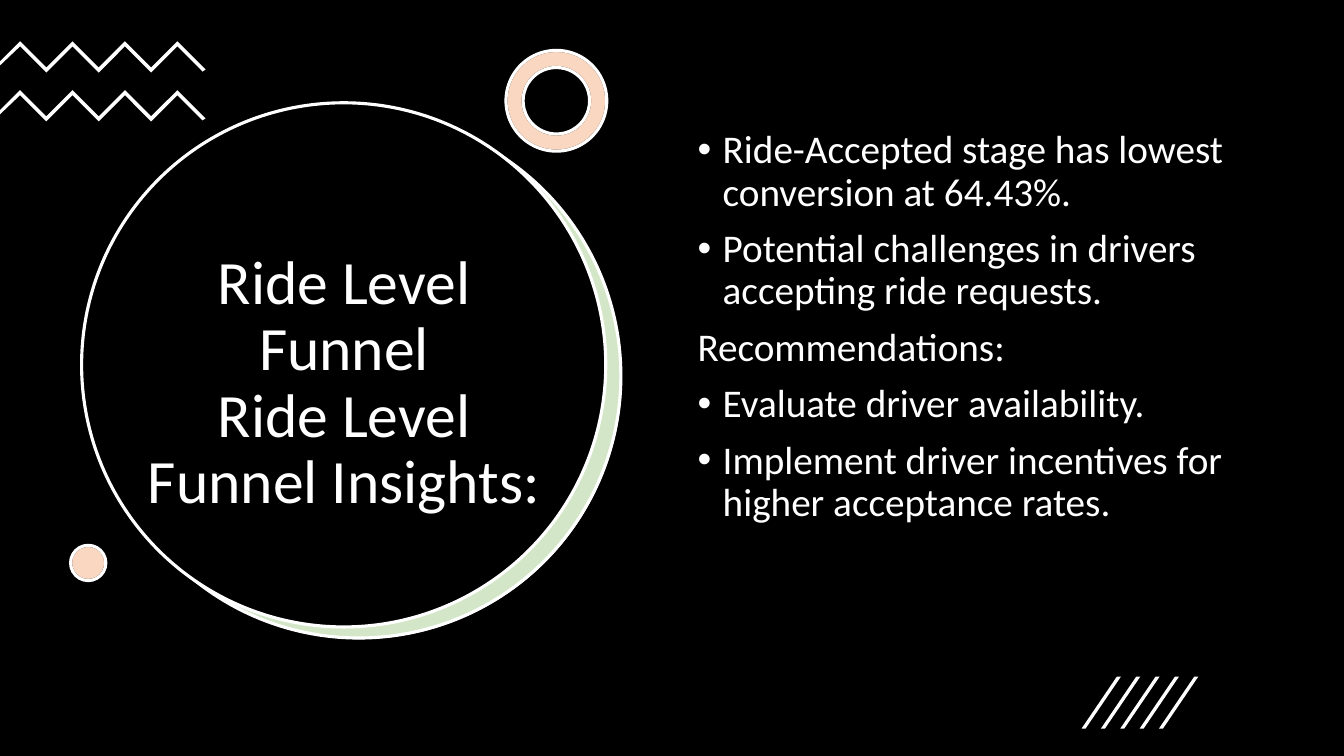
"""Build the ride level funnel insights slide."""
from lxml import etree
from pptx import Presentation
from pptx import util as u
from pptx.dml.color import RGBColor
from pptx.enum import shapes, text
from pptx.oxml import ns

BLACK = RGBColor(0x00, 0x00, 0x00)
WHITE = RGBColor(0xFF, 0xFF, 0xFF)
GREEN = RGBColor(0x70, 0xAD, 0x47)
ORANGE = RGBColor(0xED, 0x7D, 0x31)

deck = Presentation()
deck.slide_width, deck.slide_height = u.Pt(960), u.Pt(540)
page = deck.slides.add_slide(deck.slide_layouts[1])


def write(para, words, size=28, align=text.PP_ALIGN.LEFT, before=0, bullet=None):
    para.text = words
    para.alignment = align
    para.line_spacing = 0.9
    para.space_before = u.Pt(before)
    props = para._p.get_or_add_pPr()
    indent = u.Pt(18) if bullet else 0
    props.set("marL", str(indent))
    props.set("indent", str(-indent))
    if bullet:
        etree.SubElement(props, ns.qn("a:buChar")).set("char", bullet)
    else:
        etree.SubElement(props, ns.qn("a:buNone"))
    for span in para.runs:
        span.font.name = "Calibri"
        span.font.size = u.Pt(size)
        span.font.color.rgb = WHITE


def paint(shape, fill, line=None, alpha=None):
    shape.shadow.inherit = False
    shape.fill.solid()
    shape.fill.fore_color.rgb = fill
    if alpha:
        color = shape.fill._xPr.find(".//" + ns.qn("a:srgbClr"))
        etree.SubElement(color, ns.qn("a:alpha")).set("val", str(alpha * 1000))
    if line is None:
        shape.line.fill.background()
    else:
        shape.line.color.rgb = line
        shape.line.width = u.Pt(2.25)


kinds = shapes.MSO_SHAPE
ring = (kinds.DONUT, 361.44, 36, 72, 72)
dot = (kinds.OVAL, 50.4, 389.5, 25.2, 25.2)
preset_shapes = [
    (kinds.RECTANGLE, 0, 0, 960, 540, BLACK, None, None),
    (kinds.OVAL, 69.84, 82.08, 374.4, 374.4, WHITE, None, None),
    (kinds.OVAL, 69.12, 81.36, 374.4, 374.4, GREEN, WHITE, 30),
    (kinds.OVAL, 58.32, 73.44, 374.4, 374.4, BLACK, WHITE, None),
    (*ring, WHITE, BLACK, None),
    (*ring, ORANGE, WHITE, 30),
    (*dot, WHITE, BLACK, None),
    (*dot, ORANGE, WHITE, 30),
]
for kind, left, top, width, height, fill, line, alpha in preset_shapes:
    shape = page.shapes.add_shape(kind, u.Pt(left), u.Pt(top), u.Pt(width), u.Pt(height))
    if kind == kinds.DONUT:
        shape.adjustments[0] = 0.17
    paint(shape, fill, line, alpha)

outlines = []
for top in (29.5, 64.4):
    ridge = [(14.4 + 18.72 * step, top + 18.72 * (step % 2)) for step in range(7)]
    underside = [(x, y + 3.6) for x, y in reversed(ridge)]
    outlines.append(ridge + [(146.9, top + 20.2), (144.7, top + 21.6)]
                    + underside + [(0, top + 17.3), (0, top + 14.4)])
for step in range(5):
    left = 772.56 + 13.82 * step
    outlines.append([(left + 2.88, 520.4), (left, 520.4),
                     (left + 25.2, 483.3), (left + 28.08, 483.3)])

for outline in outlines:
    corners = [(u.Pt(x), u.Pt(y)) for x, y in outline]
    builder = page.shapes.build_freeform(*corners[0])
    builder.add_line_segments(corners[1:], close=True)
    paint(builder.convert_to_shape(), WHITE)

title, body = page.shapes.title, page.placeholders[1]
placements = [
    (title, 87.12, 147.6, 317.52, 253.44, text.MSO_ANCHOR.MIDDLE),
    (body, 491.04, 89.28, 411.12, 342.72, text.MSO_ANCHOR.TOP),
]
for box, left, top, width, height, anchor in placements:
    box.left, box.top = u.Pt(left), u.Pt(top)
    box.width, box.height = u.Pt(width), u.Pt(height)
    box.text_frame.word_wrap = True
    box.text_frame.auto_size = text.MSO_AUTO_SIZE.NONE
    box.text_frame.vertical_anchor = anchor
    page.shapes._spTree.append(box._element)

write(title.text_frame.paragraphs[0], "Ride Level Funnel\vRide Level Funnel Insights:",
      size=44, align=text.PP_ALIGN.CENTER)

insights = [
    ("Ride-Accepted stage has lowest conversion at 64.43%.", "•"),
    ("Potential challenges in drivers accepting ride requests.", "•"),
    ("Recommendations:", None),
    ("Evaluate driver availability.", "•"),
    ("Implement driver incentives for higher acceptance rates.", "•"),
]
for index, (words, bullet) in enumerate(insights):
    para = body.text_frame.add_paragraph() if index else body.text_frame.paragraphs[0]
    write(para, words, before=10 if index else 0, bullet=bullet)

deck.save("out.pptx")
